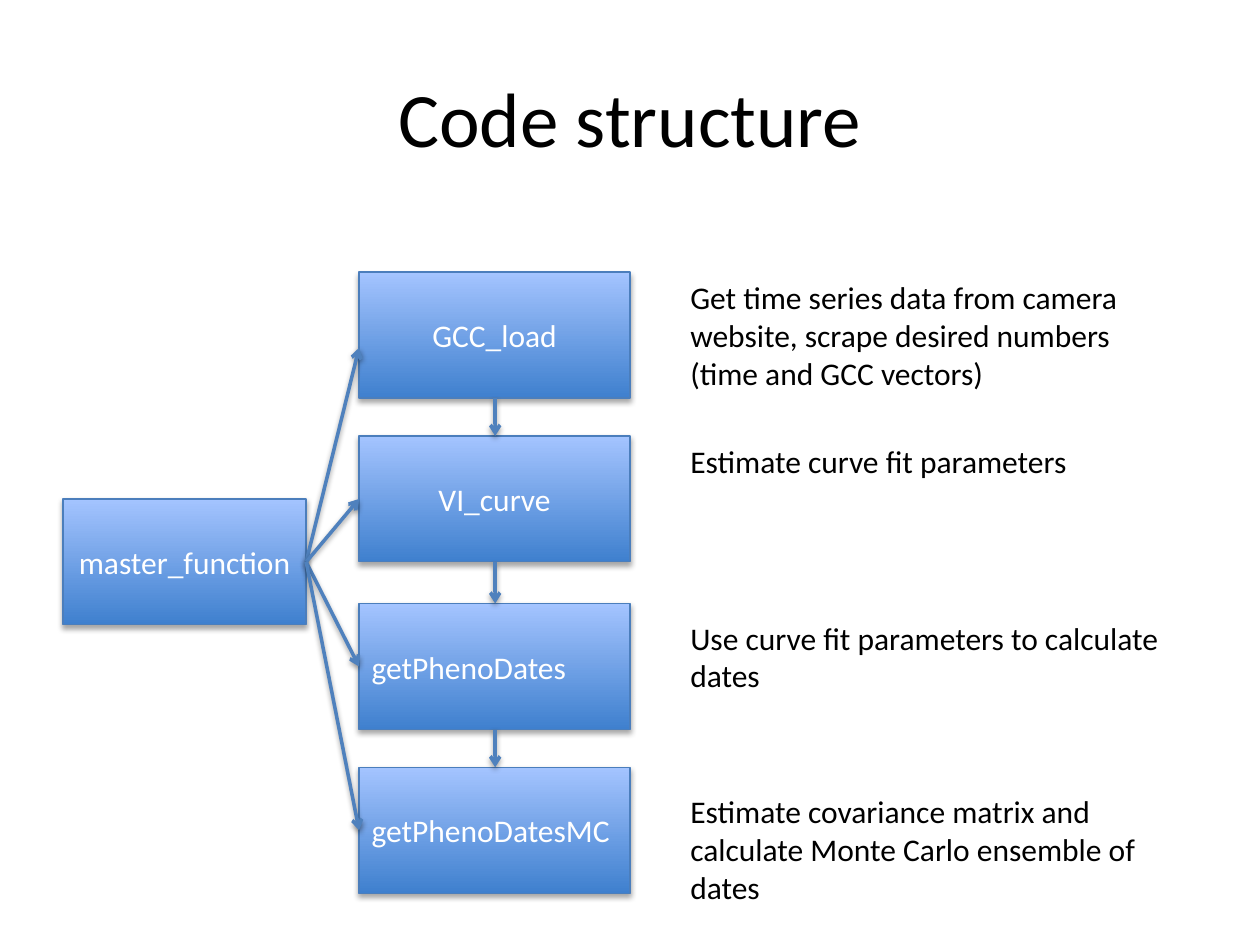
from lxml.etree import SubElement
from pptx import Presentation
from pptx.dml.color import RGBColor
from pptx.enum.shapes import MSO_CONNECTOR as Connector, MSO_SHAPE as Shape
from pptx.enum.text import MSO_ANCHOR as Anchor, PP_ALIGN as Align
from pptx.oxml.ns import qn
from pptx.util import Emu, Pt

PX = 9144
BLACK = RGBColor(0x00, 0x00, 0x00)
WHITE = RGBColor(0xFF, 0xFF, 0xFF)
BOX_BOTTOM = RGBColor(0x3F, 0x80, 0xCE)
BOX_TOP = RGBColor(0xA4, 0xC4, 0xFF)
BOX_EDGE = RGBColor(0x4B, 0x7E, 0xBC)
ARROW = RGBColor(0x4F, 0x81, 0xBD)

MASTER = (50, 396, 193, 100)
STEP_LEFT, STEP_WIDTH, STEP_HEIGHT = 285, 215, 100
NOTE_LEFT, NOTE_WIDTH = 538, 412
STEPS = [
    ("GCC_load", Align.CENTER, 216, 276, 216, 101,
     "Get time series data from camera website, scrape desired numbers "
     "(time and GCC vectors)"),
    ("VI_curve", Align.CENTER, 346, 396, 346, 40,
     "Estimate curve fit parameters"),
    ("getPhenoDates", Align.LEFT, 479, 529, 486, 71,
     "Use curve fit parameters to calculate dates"),
    ("getPhenoDatesMC", Align.LEFT, 609, 659, 624, 101,
     "Estimate covariance matrix and calculate Monte Carlo ensemble of dates"),
]


def px(*lengths):
    """Turn px lengths into EMU."""
    return [Emu(length * PX) for length in lengths]


def write(shape, text, size, color, align, anchor):
    """Put one styled paragraph into a shape."""
    frame = shape.text_frame
    for name, value in {"word_wrap": True, "vertical_anchor": anchor}.items():
        setattr(frame, name, value)
    paragraph = frame.paragraphs[0]
    paragraph.alignment = align
    run = paragraph.add_run()
    run.text = text
    for name, value in {"size": Pt(size), "name": "Calibri"}.items():
        setattr(run.font, name, value)
    run.font.color.rgb = color


def add_shadow(effects, distance, opacity):
    """Add a soft downward shadow to an effect list."""
    shadow = SubElement(effects, qn("a:outerShdw"), blurRad="40000",
                        dist=str(distance), dir="5400000", rotWithShape="0")
    color = SubElement(shadow, qn("a:srgbClr"), val=str(BLACK))
    SubElement(color, qn("a:alpha"), val=str(opacity * 1000))


def add_label(slide, box, text, size=18, align=Align.LEFT, anchor=Anchor.TOP):
    """Place black text in a box."""
    write(slide.shapes.add_textbox(*px(*box)), text, size, BLACK, align, anchor)


def add_function(slide, box, name, align):
    """Place a gradient box that names one function."""
    block = slide.shapes.add_shape(Shape.RECTANGLE, *px(*box))
    block.shadow.inherit = False
    block.fill.gradient()
    block.fill.gradient_angle = 90
    stops = zip(block.fill.gradient_stops, (BOX_BOTTOM, BOX_TOP), (0, 1))
    for stop, color, position in stops:
        stop.color.rgb = color
        stop.position = position
    block.line.color.rgb = BOX_EDGE
    block.line.width = Pt(0.75)
    add_shadow(block._element.spPr.find(qn("a:effectLst")), 23000, 35)
    write(block, name, 18, WHITE, align, Anchor.MIDDLE)


def add_arrow(slide, start, end):
    """Draw a call arrow between two points."""
    arrow = slide.shapes.add_connector(Connector.STRAIGHT, *px(*start, *end))
    arrow.line.color.rgb = ARROW
    arrow.line.width = Pt(2)
    properties = arrow._element.spPr
    SubElement(properties.find(qn("a:ln")), qn("a:tailEnd"), type="arrow")
    add_shadow(SubElement(properties, qn("a:effectLst")), 20000, 38)


def add_diagram(slide, master):
    """Place the master function, its steps, their arrows and notes."""
    left, top, width, height = master
    hub = (left + width, top + height // 2)
    center = STEP_LEFT + (STEP_WIDTH + 1) // 2
    add_function(slide, master, "master_function", Align.CENTER)
    for name, align, step_top, *_ in STEPS:
        add_function(slide, (STEP_LEFT, step_top, STEP_WIDTH, STEP_HEIGHT),
                     name, align)
    for _, _, _, entry, *_ in STEPS:
        add_arrow(slide, hub, (STEP_LEFT, entry))
    for upper, lower in zip(STEPS, STEPS[1:]):
        add_arrow(slide, (center, upper[2] + STEP_HEIGHT), (center, lower[2]))
    for *_, note_top, note_height, note in STEPS:
        add_label(slide, (NOTE_LEFT, note_top, NOTE_WIDTH, note_height), note)


def main():
    """Build and save the slide."""
    deck = Presentation()
    deck.slide_width, deck.slide_height = px(1000, 750)
    slide = deck.slides.add_slide(deck.slide_layouts[6])
    add_label(slide, (50, 30, 900, 125), "Code structure", 44,
              Align.CENTER, Anchor.MIDDLE)
    add_diagram(slide, MASTER)
    deck.save("out.pptx")


if __name__ == "__main__":
    main()
